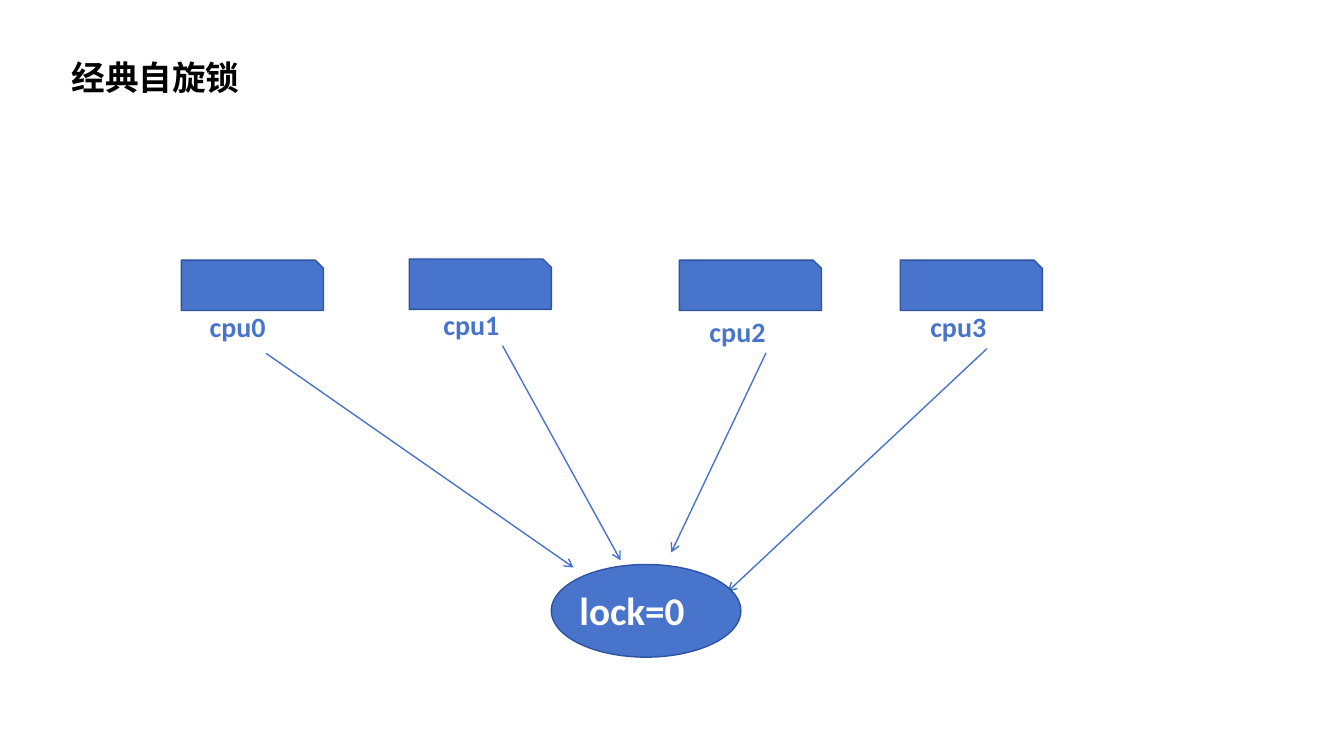
from lxml import etree
from pptx import Presentation
from pptx.dml.color import RGBColor
from pptx.enum.shapes import MSO_CONNECTOR, MSO_SHAPE
from pptx.enum.text import MSO_ANCHOR, MSO_AUTO_SIZE, PP_ALIGN
from pptx.oxml.ns import qn
from pptx.util import Pt

STRAIGHT = MSO_CONNECTOR.STRAIGHT
SNIPPED, OVAL = MSO_SHAPE.SNIP_1_RECTANGLE, MSO_SHAPE.OVAL
TOP, LEFT, NO_FIT = MSO_ANCHOR.TOP, PP_ALIGN.LEFT, MSO_AUTO_SIZE.NONE

BLUE = RGBColor(0x48, 0x74, 0xCB)
DARK_BLUE = RGBColor(0x2E, 0x54, 0xA1)
WHITE = RGBColor(0xFE, 0xFE, 0xFE)
BLACK = RGBColor(0, 0, 0)
FONT = "Calibri"

TITLE = "经典自旋锁"
LOCK = "lock=0"
# name, box left and top, label left and top, arrow start, arrow end
CPUS = [
    ("cpu0", (129.6, 185.8), (142.6, 217.4), (190.1, 252.4), (409.7, 405.4)),
    ("cpu1", (292.3, 185), (309.6, 216), (359, 247), (443.3, 400.3)),
    ("cpu2", (485.3, 185.8), (499.7, 221), (547.2, 252), (479.5, 394.6)),
    ("cpu3", (643, 185.8), (657.4, 217.4), (704.9, 249.1), (519.8, 422.6)),
]
BOX_SIZE = (101.5, 36)
LABEL_SIZE = (95, 31.7)


def points(*values):
    return [Pt(value) for value in values]


def write(box, text, size, color):
    frame = box.text_frame
    frame.word_wrap = True
    frame.auto_size = NO_FIT
    frame.vertical_anchor = TOP
    para = frame.paragraphs[0]
    para.alignment = LEFT
    span = para.add_run()
    span.text = text
    span.font.name = FONT
    span.font.size = Pt(size)
    span.font.bold = True
    span.font.color.rgb = color


def add_label(page, place, size, text, text_size, color):
    box = page.shapes.add_textbox(*points(*place, *size))
    write(box, text, text_size, color)


def add_block(page, kind, place, size):
    block = page.shapes.add_shape(kind, *points(*place, *size))
    block.shadow.inherit = False
    block.fill.solid()
    block.fill.fore_color.rgb = BLUE
    block.line.color.rgb = DARK_BLUE
    block.line.width = Pt(1)


def add_arrow(page, start, end):
    arrow = page.shapes.add_connector(STRAIGHT, *points(*start, *end))
    arrow.line.color.rgb = BLUE
    arrow.line.width = Pt(1)
    properties = arrow._element.spPr
    etree.SubElement(properties.find(qn("a:ln")), qn("a:tailEnd"), type="arrow")
    etree.SubElement(properties, qn("a:effectLst"))


def main():
    deck = Presentation()
    deck.slide_width, deck.slide_height = points(960, 540)
    page = deck.slides.add_slide(deck.slide_layouts[5])

    title = page.shapes.title
    title.left, title.top, title.width, title.height = points(43.9, 36.7, 319.7, 36)
    write(title, TITLE, 24, BLACK)

    for name, box_place, label_place, start, end in CPUS:
        add_label(page, label_place, LABEL_SIZE, name, 20, BLUE)
        add_arrow(page, start, end)
        add_block(page, SNIPPED, box_place, BOX_SIZE)

    add_block(page, OVAL, (393.8, 403.2), (135.4, 66.2))
    add_label(page, (406.8, 415.4), (319.7, 41), LOCK, 28, WHITE)
    deck.save("out.pptx")


if __name__ == "__main__":
    main()
